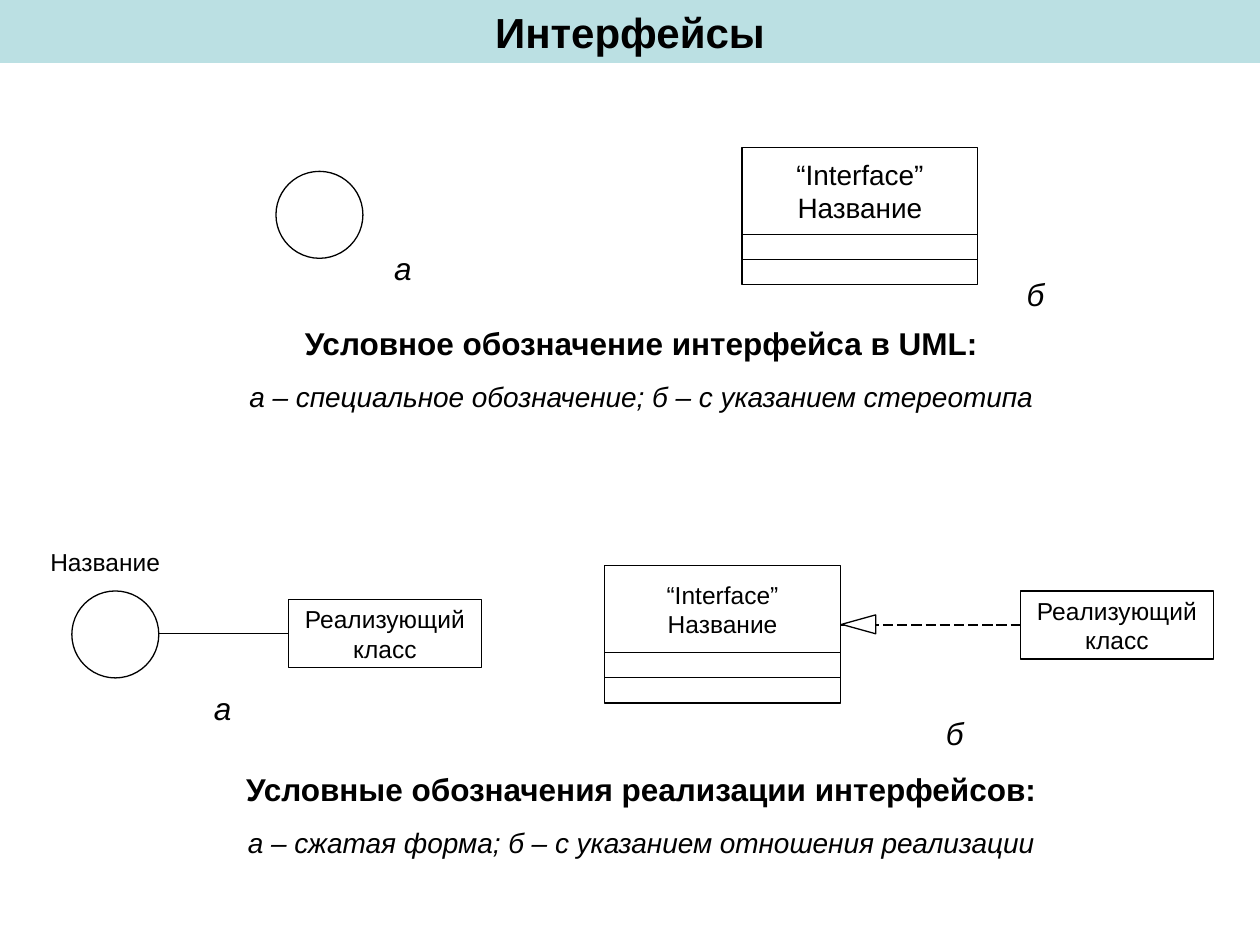
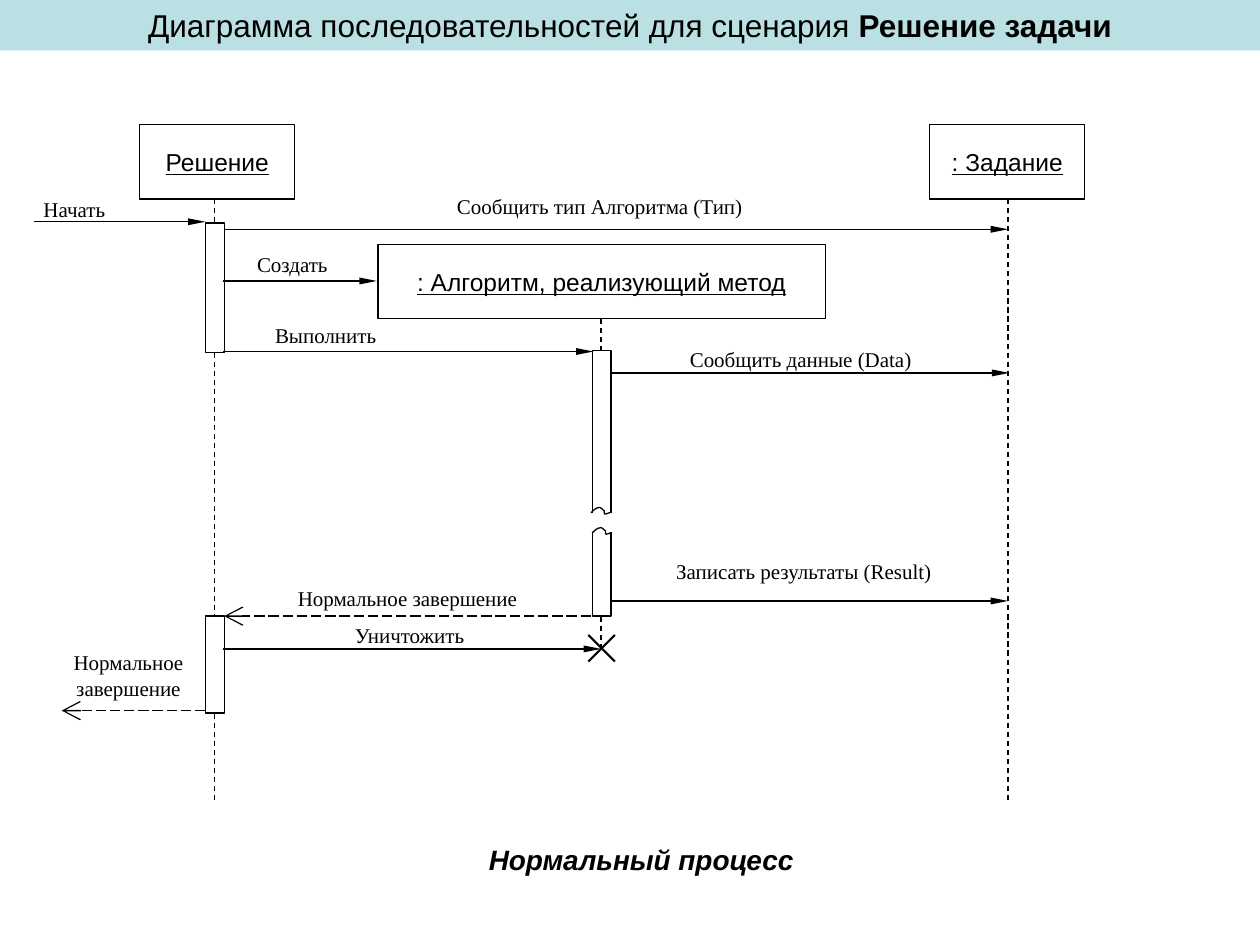
from lxml import etree
from pptx import Presentation
from pptx.dml.color import RGBColor
from pptx.enum.dml import MSO_LINE
from pptx.enum.shapes import MSO_CONNECTOR, MSO_SHAPE
from pptx.enum.text import MSO_ANCHOR, MSO_AUTO_SIZE, PP_ALIGN
from pptx.oxml.ns import qn
from pptx.util import Inches, Pt

BLACK = RGBColor(0x00, 0x00, 0x00)
WHITE = RGBColor(0xFF, 0xFF, 0xFF)
BAND = RGBColor(0xBB, 0xE0, 0xE3)
SANS = "Arial"
SERIF = "Times New Roman"
THIN = 0.75
TITLE_ONLY = 5

CIRCLE = 0.69
CLASS_W, CLASS_H, SECTION_H = 1.87, 0.69, 0.2
REALIZER_W, REALIZER_H = 1.53, 0.54
BAR_W = 0.15
OBJECT_H = 0.59
WAVE_START = (0, 0.05)
WAVE_CURVES = [
    [(0.02, 0.03), (0.04, 0.01), (0.06, 0.01)],
    [(0.07, 0), (0.09, 0.02), (0.1, 0.03)],
    [(0.11, 0.03), (0.1, 0.05), (0.11, 0.06)],
    [(0.12, 0.06), (0.14, 0.05), (0.15, 0.05)],
]


def curve_points(start, curves, steps=8):
    for c1, c2, end in curves:
        for i in range(1, steps + 1):
            t = i / steps
            u = 1 - t
            yield tuple(
                u**3 * a + 3 * u * u * t * b + 3 * u * t * t * c + t**3 * d
                for a, b, c, d in zip(start, c1, c2, end)
            )
        start = end


class Deck:
    def __init__(self):
        self.prs = Presentation()
        self.prs.slide_width = Inches(10)
        self.prs.slide_height = Inches(7.5)
        self.s = None

    def style(self, p, size, font=SANS, bold=False, italic=False,
              underline=False, align=PP_ALIGN.CENTER):
        p.alignment = align
        for r in p.runs:
            r.font.name = font
            r.font.size = Pt(size)
            r.font.bold = bold
            r.font.italic = italic
            r.font.underline = underline
            r.font.color.rgb = BLACK

    def slide(self, title, height, size, bold=False, strong=""):
        self.s = self.prs.slides.add_slide(self.prs.slide_layouts[TITLE_ONLY])
        sp = self.s.shapes.title
        sp.left, sp.top = Inches(0), Inches(0)
        sp.width, sp.height = Inches(10), Inches(height)
        sp.fill.solid()
        sp.fill.fore_color.rgb = BAND
        tf = sp.text_frame
        tf.auto_size = MSO_AUTO_SIZE.NONE
        tf.vertical_anchor = MSO_ANCHOR.TOP
        p = tf.paragraphs[0]
        p.text = title
        if strong:
            p.add_run().text = strong
        self.style(p, size, bold=bold)
        if strong:
            p.runs[-1].font.bold = True

    def outline(self, sp, color=BLACK, fill=None):
        sp.shadow.inherit = False
        sp.line.color.rgb = color
        sp.line.width = Pt(THIN)
        if fill is None:
            sp.fill.background()
        else:
            sp.fill.solid()
            sp.fill.fore_color.rgb = fill

    def shape(self, x, y, w, h, kind=MSO_SHAPE.RECTANGLE, lines=(), size=14,
              underline=False, fill=None, color=BLACK):
        sp = self.s.shapes.add_shape(kind, Inches(x), Inches(y), Inches(w), Inches(h))
        self.outline(sp, color, fill)
        if lines:
            tf = sp.text_frame
            tf.word_wrap = False
            tf.vertical_anchor = MSO_ANCHOR.MIDDLE
            tf.text = "\n".join(lines)
            for p in tf.paragraphs:
                self.style(p, size, underline=underline)
        return sp

    def text(self, x, y, w, h, text, size, **style):
        tf = self.s.shapes.add_textbox(Inches(x), Inches(y), Inches(w), Inches(h)).text_frame
        tf.word_wrap = True
        tf.text = text
        self.style(tf.paragraphs[0], size, **style)
        return tf

    def caption(self, y, heading, legend):
        tf = self.text(0.18, y, 9.82, 0.81, heading, 18, bold=True)
        p = tf.add_paragraph()
        p.text = legend
        p.space_before = Pt(10)
        self.style(p, 16, italic=True)

    def letter(self, x, y, text):
        self.text(x, y, 0.44, 0.4, text, 18, italic=True, align=PP_ALIGN.LEFT)

    def line(self, x1, y1, x2, y2, dash=None, head=None, width=THIN):
        c = self.s.shapes.add_connector(
            MSO_CONNECTOR.STRAIGHT, Inches(x1), Inches(y1), Inches(x2), Inches(y2))
        c.line.color.rgb = BLACK
        c.line.width = Pt(width)
        if dash:
            c.line.dash_style = dash
        if head:
            end = etree.SubElement(c.line._get_or_add_ln(), qn("a:tailEnd"))
            end.set("type", head)
            end.set("w", "sm" if head == "triangle" else "lg")
            end.set("len", "lg")
        etree.SubElement(c._element.spPr, qn("a:effectLst"))

    def wave(self, x, y):
        def place(point):
            return Inches(x + point[0]), Inches(y + point[1])

        fb = self.s.shapes.build_freeform(*place(WAVE_START))
        fb.add_line_segments(
            [place(pt) for pt in curve_points(WAVE_START, WAVE_CURVES)], close=False)
        self.outline(fb.convert_to_shape())

    def interface(self, x, y, size):
        self.shape(x, y, CLASS_W, CLASS_H, lines=("“Interface”", "Название"), size=size)
        for i in range(2):
            self.shape(x, y + CLASS_H + i * SECTION_H, CLASS_W, SECTION_H)

    def circle(self, x, y):
        self.shape(x, y, CIRCLE, CIRCLE, MSO_SHAPE.OVAL)

    def realizer(self, x, y):
        self.shape(x, y, REALIZER_W, REALIZER_H, lines=("Реализующий", "класс"))

    def participant(self, x, y, w, name):
        self.shape(x, y, w, OBJECT_H, lines=(name,), underline=True)

    def bar(self, x, y, h):
        self.shape(x, y, BAR_W, h, fill=WHITE)


def interfaces(deck):
    deck.slide("Интерфейсы", 0.5, 24, bold=True)
    deck.caption(2.52, "Условное обозначение интерфейса в UML:",
                 "а – специальное обозначение; б – с указанием стереотипа")
    deck.circle(2.19, 1.36)
    deck.interface(5.89, 1.17, 16)
    for x, y, text in [(3.03, 1.93, "а"), (8.05, 2.13, "б"),
                       (1.6, 5.42, "а"), (7.41, 5.62, "б")]:
        deck.letter(x, y, text)

    deck.circle(0.57, 4.69)
    deck.realizer(2.29, 4.76)
    deck.line(1.26, 5.03, 2.29, 5.03)
    deck.text(0, 4.29, 1.67, 0.34, "Название", 14)

    deck.interface(4.8, 4.49, 14)
    deck.realizer(8.1, 4.69)
    deck.line(6.67, 4.96, 8.1, 4.96, MSO_LINE.LONG_DASH)
    arrow = deck.shape(6.74, 4.82, 0.15, 0.27, MSO_SHAPE.ISOSCELES_TRIANGLE, fill=WHITE)
    arrow.rotation = 270
    deck.caption(6.06, "Условные обозначения реализации интерфейсов:",
                 "а – сжатая форма; б – с указанием отношения реализации")


def sequence(deck):
    deck.slide("Диаграмма последовательностей для сценария", 0.4, 18,
               strong=" Решение задачи")
    deck.text(3.04, 6.64, 4.1, 0.37, "Нормальный процесс", 16, bold=True, italic=True)

    for x, y, w, name in [(1.11, 0.99, 1.23, "Решение"),
                          (7.38, 0.99, 1.23, ": Задание"),
                          (3, 1.94, 3.55, ": Алгоритм, реализующий метод")]:
        deck.participant(x, y, w, name)
    for x, top, bottom in [(1.7, 1.58, 6.36), (8, 1.58, 6.36), (4.77, 2.53, 5.17)]:
        deck.line(x, top, x, bottom, MSO_LINE.DASH)
    for x, y, h in [(1.63, 1.77, 1.03), (1.63, 4.89, 0.77),
                    (4.7, 2.78, 1.35), (4.7, 4.16, 0.73)]:
        deck.bar(x, y, h)
    deck.shape(4.66, 4.08, 0.23, 0.14, fill=WHITE, color=WHITE)
    deck.wave(4.69, 4.02)
    deck.wave(4.7, 4.18)

    for x1, x2, y in [(0.27, 1.63, 1.76), (1.78, 8, 1.82), (1.77, 2.99, 2.23),
                      (1.77, 4.71, 2.79), (4.85, 8.01, 2.96), (4.84, 8, 4.77),
                      (1.77, 4.77, 5.15)]:
        deck.line(x1, y, x2, y, head="triangle")
    for x1, x2, y in [(4.69, 1.78, 4.89), (1.63, 0.49, 5.64)]:
        deck.line(x1, y, x2, y, MSO_LINE.LONG_DASH, "arrow")
    for left, right in [(4.67, 4.88), (4.88, 4.67)]:
        deck.line(left, 5.04, right, 5.25, width=1.25)

    for x, y, w, h, message in [
        (0.15, 1.51, 0.88, 0.3, "Начать"),
        (2.77, 1.49, 3.98, 0.3, "Сообщить тип Алгоритма (Тип)"),
        (1.88, 1.95, 0.88, 0.3, "Создать"),
        (2.05, 2.51, 1.07, 0.3, "Выполнить"),
        (5.13, 2.7, 2.45, 0.3, "Сообщить данные (Data)"),
        (4.92, 4.38, 2.92, 0.3, "Записать результаты (Result)"),
        (2.06, 4.6, 2.35, 0.3, "Нормальное завершение"),
        (2.69, 4.89, 1.12, 0.3, "Уничтожить"),
        (0.46, 5.11, 1.12, 0.5, "Нормальное завершение"),
    ]:
        deck.text(x, y, w, h, message, 12, font=SERIF)


def main():
    deck = Deck()
    interfaces(deck)
    sequence(deck)
    deck.prs.save("out.pptx")


if __name__ == "__main__":
    main()
